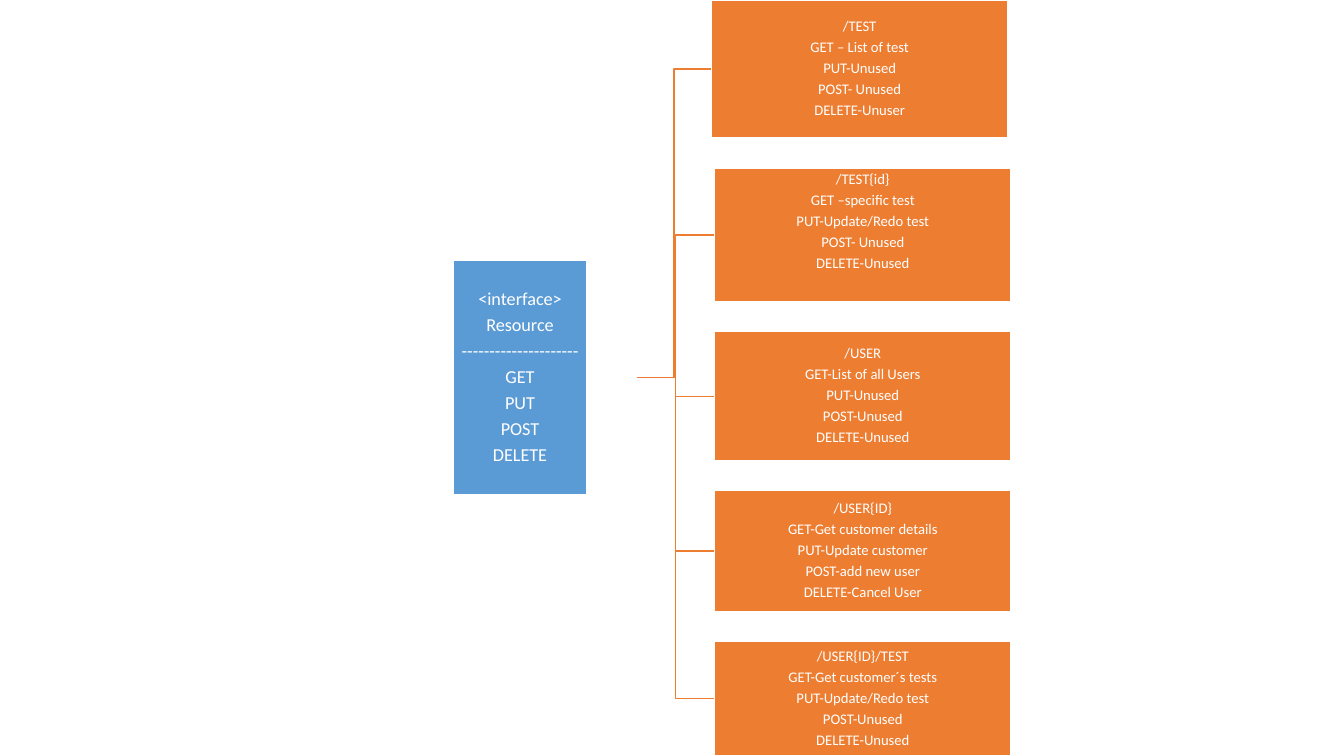
from pptx import Presentation
from pptx.dml.color import RGBColor
from pptx.enum.shapes import MSO_SHAPE as Shape
from pptx.enum.text import MSO_ANCHOR as Anchor, PP_ALIGN as Align
from pptx.util import Cm, Pt

BLUE = RGBColor(0x5B, 0x9B, 0xD5)
ORANGE = RGBColor(0xED, 0x7D, 0x31)
WHITE = RGBColor(0xFF, 0xFF, 0xFF)

FONT = "Calibri"
INSET = 0.03
GAP = 0.75
WIDTH = 7.47
ROOT = (11.43, 6.56, 3.35, 5.92)
START = (16.05, 9.52)

METHODS = ["<interface>", "Resource", "-" * 21, "GET", "PUT", "POST", "DELETE"]

# left, height, extra bottom inset, lines
ROUTES = [
    (17.93, 3.48, 0, ["/TEST", "GET – List of test", "PUT-Unused",
                      "POST- Unused", "DELETE-Unuser"]),
    (18.01, 3.38, 0.66, ["/TEST{id}", "GET –specific test",
                         "PUT-Update/Redo test", "POST- Unused",
                         "DELETE-Unused"]),
    (18.01, 3.25, 0, ["/USER", "GET-List of all Users", "PUT-Unused",
                      "POST-Unused", "DELETE-Unused"]),
    (18.01, 3.05, 0, ["/USER{ID}", "GET-Get customer details",
                      "PUT-Update customer", "POST-add new user",
                      "DELETE-Cancel User"]),
    (18.01, 2.89, 0, ["/USER{ID}/TEST", "GET-Get customer´s tests",
                      "PUT-Update/Redo test", "POST-Unused",
                      "DELETE-Unused"]),
]


def add_branch(slide, left, mid):
    """Draw an elbow line from the start point to a box's left side."""
    x, y = START
    bend = (x + left) / 2
    points = [(Cm(px), Cm(py)) for px, py in
              [(bend, y), (bend, mid), (left, mid)]]
    pen = slide.shapes.build_freeform(Cm(x), Cm(y))
    pen.add_line_segments(points, close=False)
    line = pen.convert_to_shape()
    line.shadow.inherit = False
    line.fill.background()
    line.line.color.rgb = ORANGE
    line.line.width = Pt(1)


def add_box(slide, place, fill, lines, size, extra=0):
    box = slide.shapes.add_shape(Shape.RECTANGLE, *map(Cm, place))
    box.shadow.inherit = False
    box.fill.solid()
    box.fill.fore_color.rgb = fill
    box.line.color.rgb = WHITE
    box.line.width = Pt(1)

    frame = box.text_frame
    frame.word_wrap = True
    frame.vertical_anchor = Anchor.MIDDLE
    frame.margin_left = frame.margin_right = frame.margin_top = Cm(INSET)
    frame.margin_bottom = Cm(INSET + extra)
    for i, text in enumerate(lines):
        para = frame.add_paragraph() if i else frame.paragraphs[0]
        para.alignment = Align.CENTER
        para.line_spacing = 0.9
        para.space_after = Pt(0.35 * size)
        run = para.add_run()
        run.text = text
        run.font.name = FONT
        run.font.size = Pt(size)
        run.font.color.rgb = WHITE


def main():
    deck = Presentation()
    deck.slide_width, deck.slide_height = Cm(33.87), Cm(19.05)
    slide = deck.slides.add_slide(deck.slide_layouts[6])

    tops = [sum(route[1] + GAP for route in ROUTES[:i])
            for i in range(len(ROUTES))]
    rows = list(zip(tops, ROUTES))
    for top, (left, height, _, _) in reversed(rows):
        add_branch(slide, left, top + height / 2)
    add_box(slide, ROOT, BLUE, METHODS, 13)
    for top, (left, height, extra, lines) in rows:
        add_box(slide, (left, top, WIDTH, height), ORANGE, lines, 10.5, extra)

    deck.save("out.pptx")


if __name__ == "__main__":
    main()
